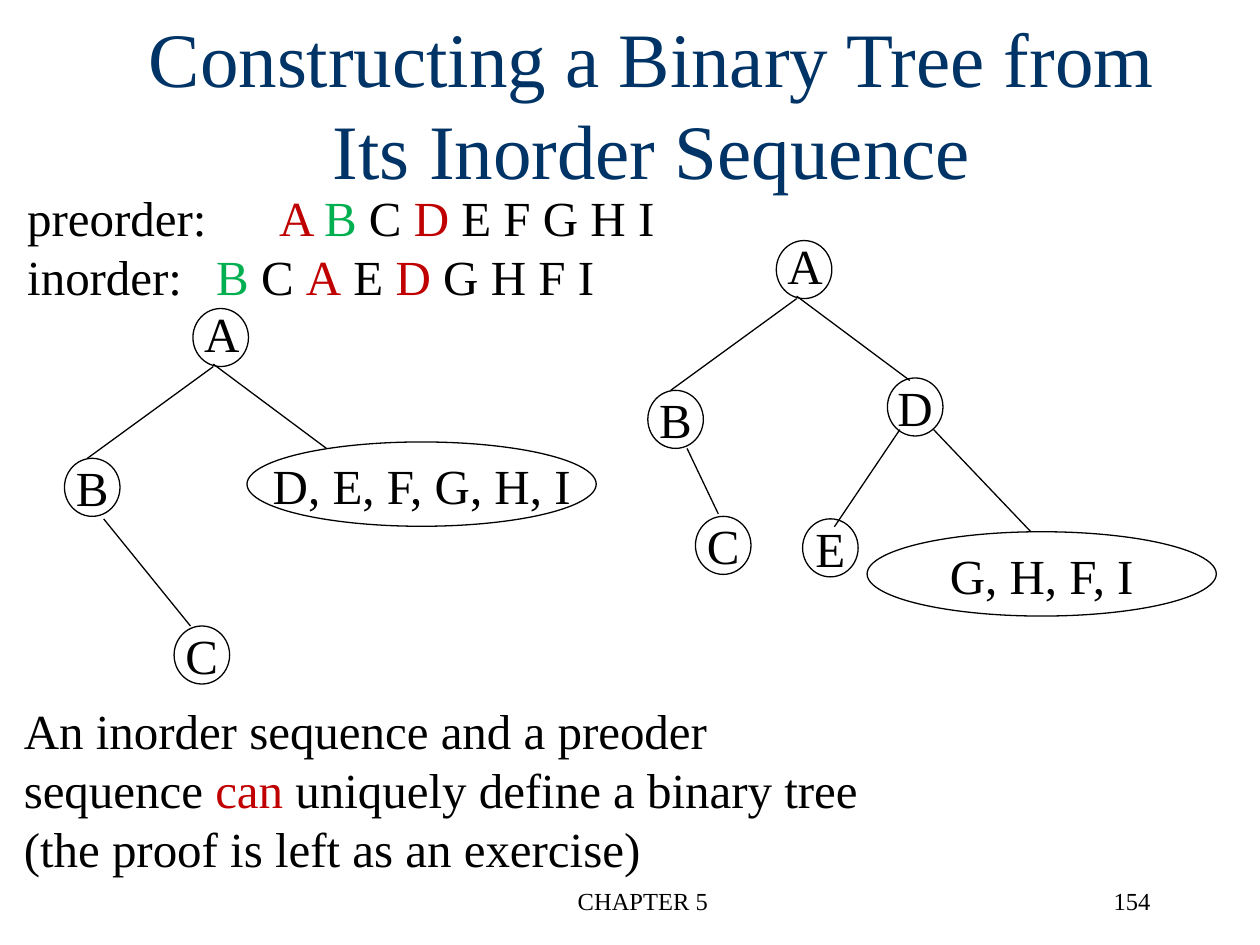
from lxml.etree import SubElement
from pptx import Presentation
from pptx.dml.color import RGBColor
from pptx.enum.shapes import MSO_CONNECTOR as Connector, MSO_SHAPE as Preset
from pptx.enum.text import MSO_ANCHOR as Anchor, MSO_AUTO_SIZE as AutoSize, PP_ALIGN as Align
from pptx.oxml.ns import qn
from pptx.util import Cm, Pt

FONT = "Times New Roman"
BLACK = RGBColor(0x00, 0x00, 0x00)
NAVY = RGBColor(0x00, 0x33, 0x66)
RED = RGBColor(0xC0, 0x00, 0x00)
GREEN = RGBColor(0x00, 0xB0, 0x50)

TITLE = "Constructing a Binary Tree from Its Inorder Sequence"
SEQUENCES = [
    [("preorder: \t", BLACK), ("A ", RED), ("B", GREEN), (" C ", BLACK),
     ("D", RED), (" E F G H I", BLACK)],
    [("inorder:\t", BLACK), ("B", GREEN), (" C ", BLACK), ("A", RED),
     (" E ", BLACK), ("D", RED), (" G H F I", BLACK)],
]
CONCLUSION = [[
    ("An inorder sequence and a preoder sequence ", BLACK), ("can", RED),
    (" uniquely define a binary tree (the proof is left as an exercise)", BLACK),
]]
# text, left, top, width, height, alignment
FOOTERS = [
    ("CHAPTER 5", 8.64, 17.73, 8.64, 1.27, Align.CENTER),
    ("154", 18.16, 17.73, 5.28, 1.27, Align.RIGHT),
]

# Tree positions are in cm, measured from the top left corner of the root node.
NODE_SIZE = (1.12, 1.17)
SUBTREE_SIZE = (7.04, 1.7)
ROOT_LABEL = (-0.03, -0.23, 1.22, 1.45)
LABEL_DROP, LABEL_HEIGHT = 0.15, 1.45
SHARED_NODES = [("B", -2.59, 3.02)]
SHARED_EDGES = [((0.41, 1.17), (-2.13, 3.02)), ((0.41, 1.12), (2.69, 2.82))]
TREES = [
    {
        "origin": (3.89, 6.22),
        "nodes": [("C", -0.38, 6.4)],
        "edges": [((-1.8, 4.24), (-0.05, 6.4))],
        "subtree": ("D, E, F, G, H, I", 1.09, 2.69, 6.6),
    },
    {
        "origin": (15.65, 4.85),
        "nodes": [("C", -1.63, 5.56), ("D", 2.24, 2.77), ("E", 0.53, 5.61)],
        "edges": [((-1.8, 4.19), (-1.17, 5.51)), ((2.49, 3.81), (1.17, 5.77)),
                  ((3.17, 3.81), (5.13, 5.87))],
        "subtree": ("G, H, F, I", 1.83, 5.87, 4.27),
    },
]


def fill_text(shape, lines, size, alignment, wrap=True):
    """Write lines of (text, colour) runs into one paragraph."""
    frame = shape.text_frame
    frame.word_wrap = wrap
    paragraph = frame.paragraphs[0]
    paragraph.alignment = alignment
    for index, runs in enumerate(lines):
        if index:
            paragraph.add_line_break()
        for text, color in runs:
            run = paragraph.add_run()
            run.text = text
            run.font.name = FONT
            run.font.size = Pt(size)
            run.font.color.rgb = color


def add_text(shapes, box, lines, size=28, alignment=Align.LEFT, wrap=True):
    fill_text(shapes.add_textbox(*map(Cm, box)), lines, size, alignment, wrap)


def add_label(shapes, box, text):
    add_text(shapes, box, [[(text, BLACK)]], alignment=Align.CENTER, wrap=False)


def add_ellipse(shapes, left, top, size, text=""):
    ellipse = shapes.add_shape(Preset.OVAL, *map(Cm, (left, top, *size)))
    ellipse.shadow.inherit = False
    ellipse.fill.background()
    ellipse.line.color.rgb = BLACK
    ellipse.line.width = Pt(0.75)
    if text:
        fill_text(ellipse, [[(text, BLACK)]], 28, Align.CENTER, wrap=False)
        ellipse.text_frame.vertical_anchor = Anchor.MIDDLE


def add_edge(shapes, start, end):
    edge = shapes.add_connector(Connector.STRAIGHT, *map(Cm, (*start, *end)))
    edge.line.color.rgb = BLACK
    edge.line.width = Pt(0.75)
    SubElement(edge._element.spPr, qn("a:effectLst"))


def add_tree(slide, tree):
    shapes = slide.shapes.add_group_shape().shapes
    x, y = tree["origin"]

    add_ellipse(shapes, x, y, NODE_SIZE)
    left, top, width, height = ROOT_LABEL
    add_label(shapes, (x + left, y + top, width, height), "A")

    for start, end in SHARED_EDGES + tree["edges"]:
        add_edge(shapes, (x + start[0], y + start[1]), (x + end[0], y + end[1]))
    for name, left, top in SHARED_NODES + tree["nodes"]:
        add_ellipse(shapes, x + left, y + top, NODE_SIZE, name)

    text, left, top, width = tree["subtree"]
    add_ellipse(shapes, x + left, y + top, SUBTREE_SIZE)
    label_left = x + left + (SUBTREE_SIZE[0] - width) / 2
    add_label(shapes, (label_left, y + top + LABEL_DROP, width, LABEL_HEIGHT), text)


def main():
    presentation = Presentation()
    presentation.slide_width, presentation.slide_height = Cm(25.4), Cm(19.05)
    slide = presentation.slides.add_slide(presentation.slide_layouts[5])

    title = slide.shapes.title
    title.left, title.top, title.width, title.height = map(Cm, (1.85, 0.08, 22.58, 3.18))
    fill_text(title, [[(TITLE, NAVY)]], 44, Align.CENTER)
    title.text_frame.vertical_anchor = Anchor.TOP
    title.text_frame.auto_size = AutoSize.NONE

    for text, left, top, width, height, alignment in FOOTERS:
        add_text(slide.shapes, (left, top, width, height), [[(text, BLACK)]], 14, alignment)
    add_text(slide.shapes, (0.3, 3.66, 13.23, 2.62), SEQUENCES, wrap=False)
    for tree in TREES:
        add_tree(slide, tree)
    add_text(slide.shapes, (0.23, 14, 17.78, 3.84), CONCLUSION)

    presentation.save("out.pptx")


if __name__ == "__main__":
    main()
